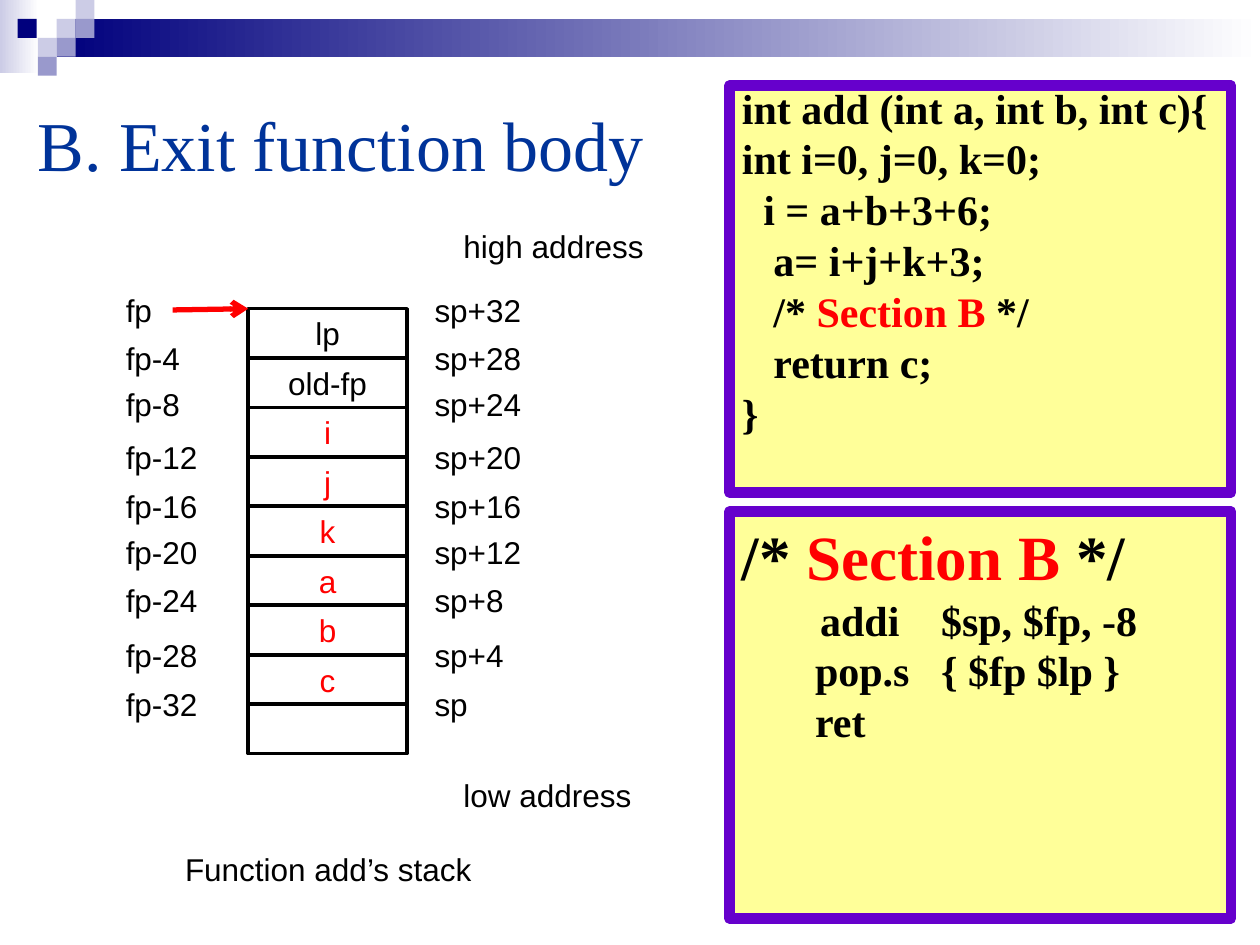
from pptx import Presentation
from pptx import util as u
from pptx.dml.color import RGBColor
from pptx.enum import shapes as sh, text as tx
from pptx.oxml.ns import qn
from lxml import etree

BLACK = RGBColor(0, 0, 0)
WHITE = RGBColor(255, 255, 255)
RED = RGBColor(255, 0, 0)
BLUE = RGBColor(0, 0x33, 0x99)
NAVY = RGBColor(0, 0, 0x7D)
LILAC = RGBColor(0xCC, 0xCC, 0xE6)
MAUVE = RGBColor(0x99, 0x99, 0xCC)
CREAM = RGBColor(255, 255, 0x99)
PURPLE = RGBColor(0x66, 0, 0xCC)

PLAIN = {"size": u.Pt(18), "name": "Arial"}
TITLE = {"size": u.Pt(40), "name": "Times New Roman"}
CODE = {"size": u.Pt(24), "name": "Times New Roman", "bold": True}
HEAD = {**CODE, "size": u.Pt(36)}
TIGHT = {"line_spacing": 0.8, "space_before": u.Pt(6)}
LOOSE = {"space_before": u.Pt(9)}

SECTION = [("/* ", BLACK), ("Section B", RED), (" */", BLACK)]
BODY = [
    (0, "int add (int a, int b, int c){"),
    (0, "int i=0, j=0, k=0;"),
    (0.17, "i = a+b+3+6;"),
    (0.25, "a= i+j+k+3;"),
    (0.25, SECTION),
    (0.25, "return c;"),
    (0, "}"),
]
EXIT = [
    (0.62, "addi\t$sp, $fp, -8"),
    (0.58, "pop.s\t{ $fp $lp }"),
    (0.58, "ret"),
]
STACK = ["lp", "old-fp", "i", "j", "k", "a", "b", "c", ""]
ROWS = [2.26, 2.64, 3.01, 3.43, 3.82, 4.18, 4.56, 5, 5.39]
TILES = [
    (0.45, 0.15, LILAC), (0.6, 0, LILAC), (0.6, 0.15, MAUVE),
    (0.3, 0.3, LILAC), (0.14, 0.15, NAVY), (0.45, 0.3, MAUVE),
    (0.3, 0.45, MAUVE),
]


def style(obj, fmt):
    for key, val in fmt.items():
        setattr(obj, key, val)


def box(slide, at, fill, edge=None, width=0):
    form = slide.shapes.add_shape(sh.MSO_SHAPE.RECTANGLE, *map(u.Inches, at))
    form.shadow.inherit = False
    if isinstance(fill, RGBColor):
        form.fill.solid()
        form.fill.fore_color.rgb = fill
    else:
        form.fill.gradient()
        form.fill.gradient_angle = 0
        for stop, tint in zip(form.fill.gradient_stops, fill):
            stop.color.rgb = tint
    if edge is None:
        form.line.fill.background()
    else:
        form.line.color.rgb = edge
        form.line.width = u.Pt(width)
    return form


def write(para, runs, font, fmt):
    style(para, fmt)
    for words, tint in runs:
        run = para.add_run()
        run.text = words
        style(run.font, font)
        run.font.color.rgb = tint


def label(slide, at, words, font=PLAIN, tint=BLACK):
    frame = slide.shapes.add_textbox(*map(u.Inches, at)).text_frame
    frame.word_wrap = True
    write(frame.paragraphs[0], [(words, tint)], font, {})


def cell(slide, top, words, tint):
    frame = box(slide, (1.97, top, 1.26, 0.39), WHITE, BLACK, 2).text_frame
    frame.vertical_anchor = tx.MSO_ANCHOR.MIDDLE
    if words:
        write(frame.paragraphs[0], [(words, tint)], PLAIN,
              {"alignment": tx.PP_ALIGN.CENTER})


def indent(para, left, hang):
    props = para._p.get_or_add_pPr()
    props.set("marL", str(u.Inches(left)))
    props.set("indent", str(u.Inches(hang)))


def panel(slide, top, lines, stop, head=None):
    frame = box(slide, (5.79, top, 3.98, 3.23), CREAM, PURPLE, 6).text_frame
    style(frame, {"word_wrap": True, "vertical_anchor": tx.MSO_ANCHOR.TOP})
    para = frame.paragraphs[0]
    if head:
        write(para, head, HEAD, {**LOOSE, "alignment": tx.PP_ALIGN.LEFT})
        para = frame.add_paragraph()
    for num, (left, words) in enumerate(lines):
        para = frame.add_paragraph() if num else para
        runs = [(words, BLACK)] if isinstance(words, str) else words
        write(para, runs, CODE, {**TIGHT, "alignment": tx.PP_ALIGN.LEFT})
        indent(para, max(stop, left), min(left - stop, 0))


def arrow(slide, start, end):
    line = slide.shapes.add_connector(
        sh.MSO_CONNECTOR.STRAIGHT, *map(u.Inches, start + end))
    line.line.color.rgb = RED
    line.line.width = u.Pt(3)
    etree.SubElement(line.line._get_or_add_ln(), qn("a:tailEnd"), type="arrow")
    etree.SubElement(line._element.spPr, qn("a:effectLst"))


def banner(slide):
    box(slide, (0, 0, 0.31, 0.58), (LILAC, WHITE))
    box(slide, (0.45, 0.15, 9.55, 0.3), (NAVY, WHITE))
    for left, top, tint in TILES:
        box(slide, (left, top, 0.15, 0.15), tint)


def stack(slide):
    step = (5.59 - 2.45) / 8
    for num, words in enumerate(STACK):
        cell(slide, 2.45 + num * step, words, BLACK if num < 2 else RED)
    for num, top in enumerate(ROWS):
        down, up = 4 * num, 32 - 4 * num
        label(slide, (0.9, top, 0.87, 0.4), f"fp-{down}" if down else "fp")
        label(slide, (3.35, top, 1.02, 0.4), f"sp+{up}" if up else "sp")
    arrow(slide, (1.37, 2.46), (1.97, 2.45))
    label(slide, (3.58, 1.75, 1.65, 0.4), "high address")
    label(slide, (3.58, 6.11, 1.65, 0.4), "low address")
    label(slide, (1.37, 6.7, 2.61, 0.4), "Function add’s stack")


def main():
    deck = Presentation()
    style(deck, {"slide_width": u.Inches(10), "slide_height": u.Inches(7.5)})
    slide = deck.slides.add_slide(deck.slide_layouts[6])
    banner(slide)
    label(slide, (0.2, 0.76, 5.2, 0.73), "B. Exit function body", TITLE, BLUE)
    panel(slide, 4.06, EXIT, 1.58, SECTION)
    panel(slide, 0.68, BODY, 0)
    stack(slide)
    deck.save("out.pptx")


if __name__ == "__main__":
    main()
